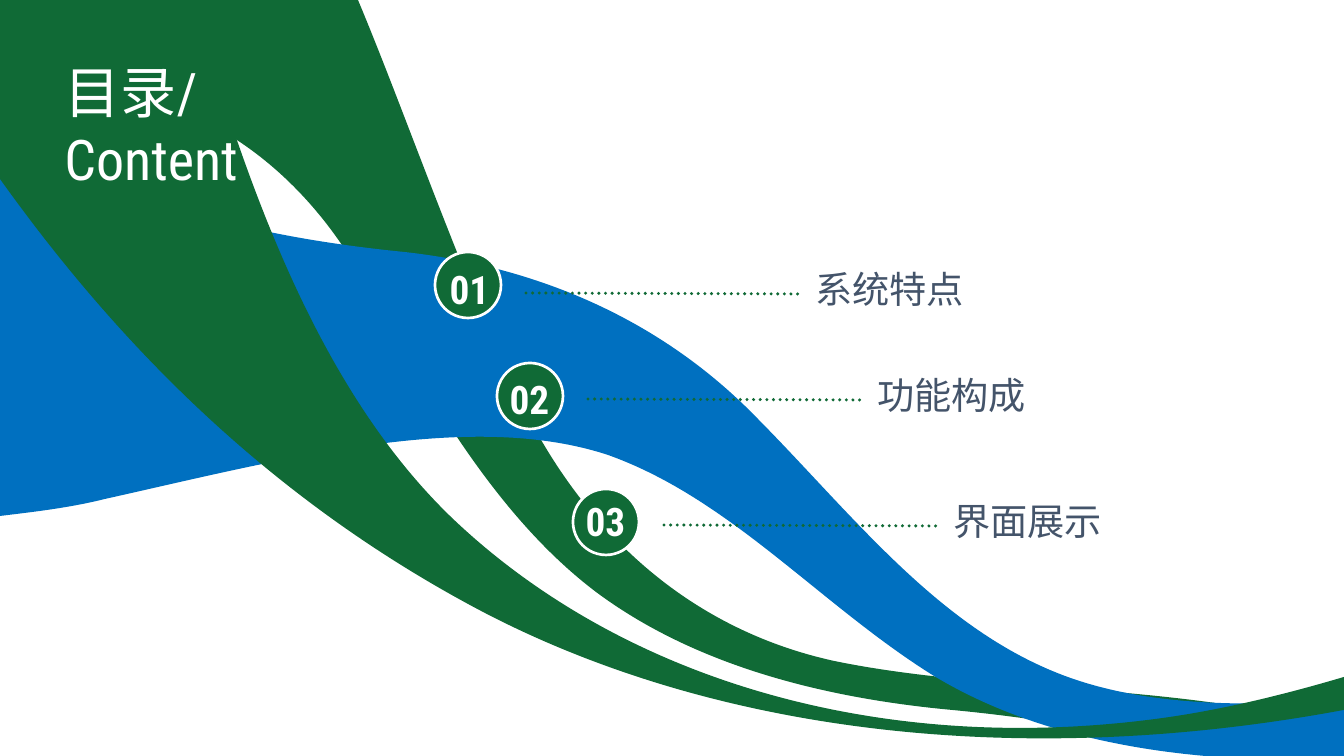
"""Build the contents slide: woven ribbons with three numbered topics."""
from lxml import etree
from pptx import Presentation
from pptx import util as u
from pptx.dml.color import RGBColor
from pptx.enum import dml, shapes, text
from pptx.oxml.ns import qn

PX = 9565
GREEN, BLUE, WHITE, SLATE = "106A36", "0070C0", "FFFFFF", "44546A"
CJK, LATIN = "Noto Sans CJK SC", "Roboto Condensed"
CIRCLE = 66


def color(value):
    return RGBColor.from_string(value)


def add_text(runs, left, top, width, height, size, fill, bold=False, align=text.PP_ALIGN.LEFT):
    box = slide.shapes.add_textbox(left * PX, top * PX, width * PX, height * PX)
    frame = box.text_frame
    frame.word_wrap = True
    frame.auto_size = text.MSO_AUTO_SIZE.SHAPE_TO_FIT_TEXT
    paragraph = frame.paragraphs[0]
    paragraph.alignment = align
    for content, font_name in runs:
        run = paragraph.add_run()
        run.text = content
        run.font.name = font_name
        run.font.size = u.Pt(size)
        run.font.bold = bold
        run.font.color.rgb = color(fill)
        etree.SubElement(run.font._element, qn("a:ea"), typeface=CJK)


presentation = Presentation()
presentation.slide_width = 1344 * PX
presentation.slide_height = 756 * PX
slide = presentation.slides.add_slide(presentation.slide_layouts[6])

ribbons = [
    (GREEN, (1298, 718), [
        [(1150, 684), (980, 691), (834, 661)],
        [(684, 628), (575, 525), (511, 381)],
        [(448, 239), (402, 105), (358, 0)],
        [(0, 0)],
        [(0, 98)],
        [(134, 64), (275, 128), (359, 272)],
        [(424, 388), (493, 514), (596, 592)],
        [(694, 665), (822, 698), (952, 710)],
        [(1111, 725), (1248, 760), (1372, 807)],
        [(1372, 738)],
        [(1348, 730), (1323, 724), (1298, 718)],
    ]),
    (BLUE, (1065, 676), [
        [(939, 629), (854, 516), (757, 418)],
        [(664, 322), (541, 267), (404, 252)],
        [(235, 235), (94, 196), (0, 108)],
        [(0, 516)],
        [(33, 512), (69, 508), (105, 499)],
        [(280, 460), (468, 409), (608, 455)],
        [(731, 499), (820, 605), (934, 676)],
        [(1045, 743), (1192, 765), (1344, 759)],
        [(1344, 700)],
        [(1243, 707), (1146, 706), (1065, 676)],
    ]),
    (GREEN, (1156, 719), [
        [(874, 756), (618, 677), (451, 517)],
        [(326, 396), (253, 209), (193, 0)],
        [(0, 0)],
        [(0, 179)],
        [(130, 361), (285, 508), (483, 612)],
        [(717, 734), (1022, 770), (1344, 710)],
        [(1344, 677)],
        [(1280, 696), (1217, 711), (1156, 719)],
    ]),
]
for fill, start, segments in ribbons:
    builder = slide.shapes.build_freeform(*start, scale=PX)
    builder.add_line_segments([point for segment in segments for point in segment], close=True)
    ribbon = builder.convert_to_shape()
    ribbon.shadow.inherit = False
    ribbon.fill.solid()
    ribbon.fill.fore_color.rgb = color(fill)
    ribbon.line.fill.background()
    lines = ribbon._element.spPr.findall(".//" + qn("a:lnTo"))
    for segment in segments:
        pieces, lines = lines[:len(segment)], lines[len(segment):]
        if len(segment) == 3:
            curve = etree.Element(qn("a:cubicBezTo"))
            pieces[0].addprevious(curve)
            for piece in pieces:
                curve.append(piece[0])
                piece.getparent().remove(piece)

add_text([("目录", CJK), ("/Content", LATIN)], 55, 53, 307, 77, 42.2, WHITE)

topics = [
    ("01", "系统特点", 435, 252, 432, 261, 262),
    ("02", "功能构成", 497, 363, 492, 371, 368),
    ("03", "界面展示", 573, 489, 568, 493, 494),
]
for number, label, left, circle_top, number_left, number_top, label_top in topics:
    add_text([(label, "Calibri")], left + 371, label_top, 300, 54, 28, SLATE)

    leader = slide.shapes.add_connector(
        shapes.MSO_CONNECTOR.STRAIGHT, (left + 91) * PX, (label_top + 31) * PX,
        (left + 369) * PX, (label_top + 32) * PX)
    leader.line.color.rgb = color(GREEN)
    leader.line.width = u.Pt(2.5)
    leader.line.dash_style = dml.MSO_LINE.ROUND_DOT
    leader.line._ln.set("cap", "rnd")
    etree.SubElement(leader._element.spPr, qn("a:effectLst"))

    circle = slide.shapes.add_shape(
        shapes.MSO_SHAPE.OVAL, left * PX, circle_top * PX, CIRCLE * PX, CIRCLE * PX)
    circle.shadow.inherit = False
    circle.fill.solid()
    circle.fill.fore_color.rgb = color(GREEN)
    circle.line.color.rgb = color(WHITE)
    circle.line.width = u.Pt(2)

    add_text([(number, LATIN)], number_left, number_top, 75, 57, 29.6, WHITE,
             bold=True, align=text.PP_ALIGN.CENTER)

presentation.save("out.pptx")
